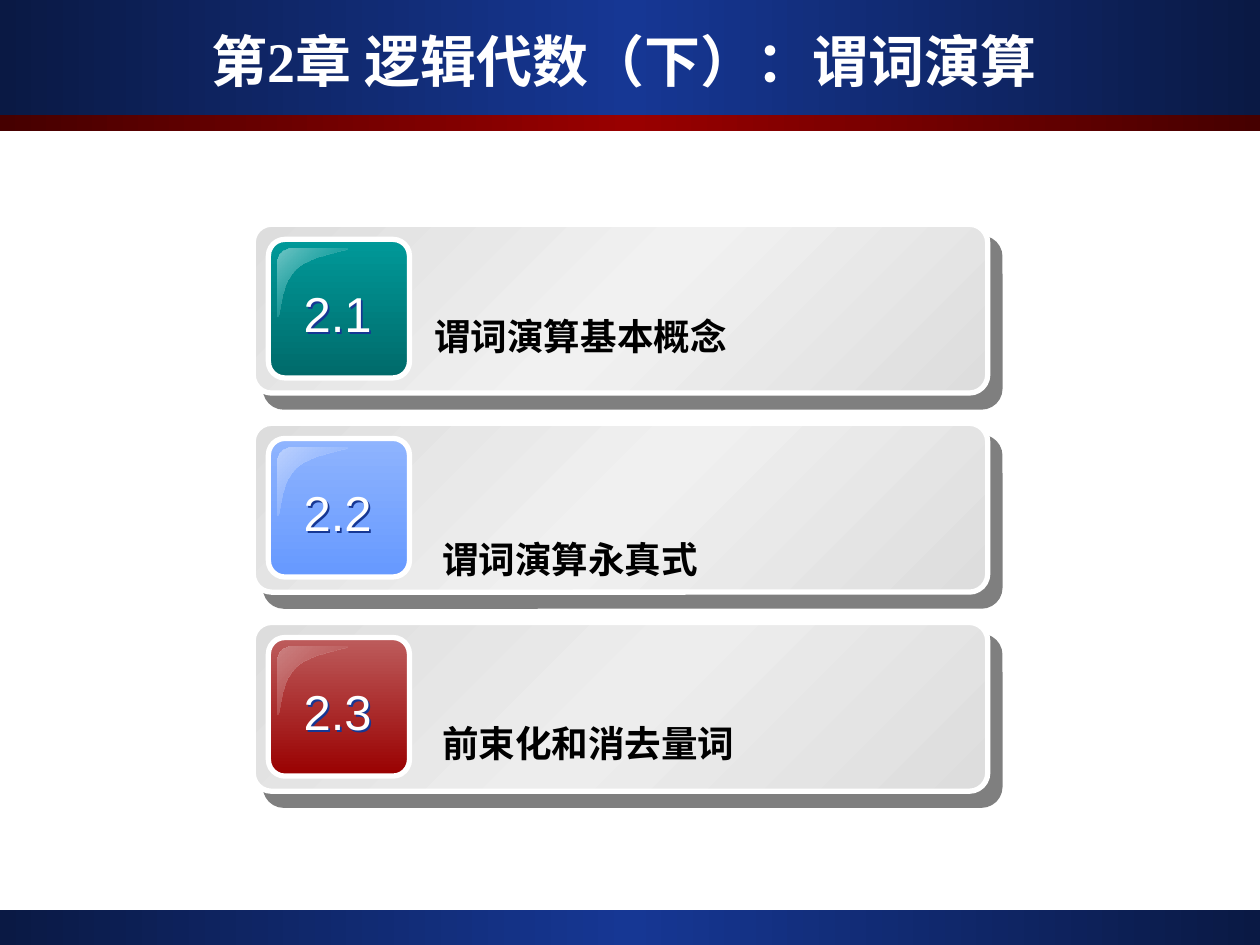
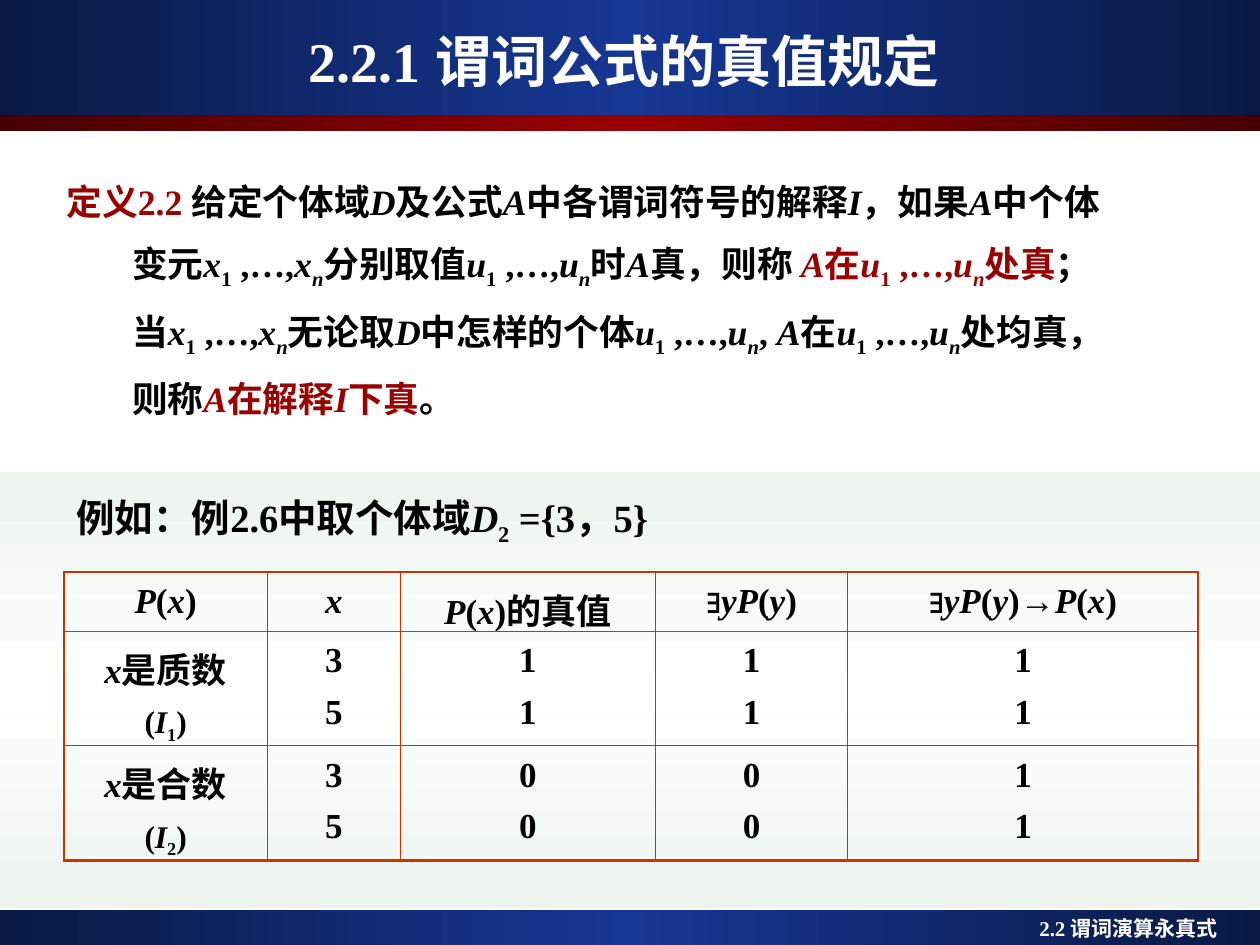
from dataclasses import dataclass
from itertools import groupby
from typing import NamedTuple

from lxml import etree
from pptx import Presentation
from pptx import util as u
from pptx.dml.color import RGBColor
from pptx.enum import shapes, text
from pptx.oxml import ns


@dataclass(frozen=True)
class Theme:
    serif: str = "Times New Roman"
    sans: str = "Arial"
    white: str = "FFFFFF"
    black: str = "000000"
    red: str = "990000"
    border: str = "CC3300"
    number_shadow: str = "163794"
    navy_band: tuple = ("0A1944", "163794", "0A1944")
    red_band: tuple = ("460000", "990000", "460000")
    example_band: tuple = ("ECF4ED", "FFFFFF", "ECF4ED")
    title_size: float = 32
    number_size: float = 28
    topic_size: float = 36
    definition_size: float = 20.4
    example_size: float = 22
    table_size: float = 20
    note_size: float = 18
    footer_size: float = 12


class Stop(NamedTuple):
    color: str
    alpha: int = 100


class Band(NamedTuple):
    top: float
    height: float
    colors: tuple
    angle: int = 180


class Topic(NamedTuple):
    number: str
    name: str
    badge: tuple
    gloss: str
    middle: str
    text_left: float
    text_top: float
    text_width: float
    spacing: float


THEME = Theme()
BANDS = [
    Band(7.22, 0.28, THEME.navy_band),
    Band(0, 0.91, THEME.navy_band),
    Band(0.91, 0.13, THEME.red_band),
]
TOPICS = [
    Topic("2.1", "谓词演算基本概念", ("009999", "006A6A"), "73C6C6", "F1F1F1",
          3.35, 0.34, 4.17, 0.9),
    Topic("2.2", "谓词演算永真式", ("8FB4FE", "6699FF"), "BDD2FE", "F0F0F0",
          3.41, 0.18, 4.29, 1.5),
    Topic("2.3", "前束化和消去量词", ("BD5C5C", "990000"), "CC8282", "EDEDED",
          3.41, 0.19, 4.29, 1.3),
]
CARD_LEFT, CARD_TOP, CARD_STEP = 2.01, 1.78, 1.58

# Markup: *italic*, [red], _ lowers the next character.
DEFINITION = [
    "[定义2.2] 给定个体域*D*及公式*A*中各谓词符号的解释*I*，如果*A*中个体",
    "变元*x*_1 ,…,*x_n*分别取值*u*_1 ,…,*u_n*时*A*真，则称 [*A*在*u*_1 ,…,*u_n*处真]；",
    "当*x*_1 ,…,*x_n*无论取*D*中怎样的个体*u*_1 ,…,*u_n*, *A*在*u*_1 ,…,*u_n*处均真，",
    "则称[*A*在解释*I*下真]。",
]
EXAMPLE = "例如：例2.6中取个体域*D*_2 ={3，5}"
TRUTH_ROWS = [
    [["*P*(*x*)"], ["*x*"], ["*P*(*x*)的真值"], ["∃*yP*(*y*)"], ["∃*yP*(*y*)→*P*(*x*)"]],
    [["*x*是质数", "(*I*_1)"], ["3", "5"], ["1", "1"], ["1", "1"], ["1", "1"]],
    [["*x*是合数", "(*I*_2)"], ["3", "5"], ["0", "0"], ["0", "0"], ["1", "1"]],
]
COLUMN_WIDTHS = [1.61, 1.06, 2.02, 1.53, 2.78]
ROW_HEIGHTS = [0.47, 0.91, 0.91]


def parse_markup(markup: str) -> list:
    """Return (text, (italic, red, lowered, is_quantifier)) pieces."""
    marked, italic, red, lowered = [], False, False, False
    for char in markup:
        if char == "*":
            italic = not italic
        elif char in "[]":
            red = char == "["
        elif char == "_":
            lowered = True
        else:
            marked.append((char, (italic, red, lowered, char == "∃")))
            lowered = False
    return [("".join(char for char, _ in run), style)
            for style, run in groupby(marked, key=lambda pair: pair[1])]


def write(frame, lines: list, *, size: float, font: str = THEME.serif,
          color: str = THEME.black, bold: bool = True, align=None, spacing: float = 1.0,
          before: float = 0, lowered: bool = False, wrap: bool = True) -> None:
    """Fill a text frame with one paragraph for each line of markup."""
    frame.word_wrap = wrap
    for index, line in enumerate(lines):
        para = frame.paragraphs[0] if index == 0 else frame.add_paragraph()
        para.alignment = align
        para.line_spacing = spacing
        if index:
            para.space_before = u.Pt(before)
        for piece, (italic, red, low, quantifier) in parse_markup(line):
            span = para.add_run()
            span.text = piece
            span.font.name = THEME.sans if quantifier else font
            span.font.size = u.Pt(size)
            span.font.bold = bold
            span.font.italic = italic
            span.font.color.rgb = RGBColor.from_string(THEME.red if red else color)
            if low or lowered:
                span._r.get_or_add_rPr().set("baseline", "-25000")


def add_text(parent, left: float, top: float, width: float, height: float,
             lines: list, **text_format):
    box = parent.add_textbox(u.Inches(left), u.Inches(top), u.Inches(width), u.Inches(height))
    write(box.text_frame, lines, **text_format)
    return box


def add_color(parent, stop: Stop) -> None:
    color = etree.SubElement(parent, ns.qn("a:srgbClr"), val=stop.color)
    if stop.alpha < 100:
        etree.SubElement(color, ns.qn("a:alpha"), val=str(stop.alpha * 1000))


def fill_gradient(shape, stops: list, angle: int) -> None:
    """Spread the stops evenly along a clockwise angle."""
    shape.fill.background()
    properties = shape.element.spPr
    gradient = etree.Element(ns.qn("a:gradFill"), rotWithShape="1")
    stop_list = etree.SubElement(gradient, ns.qn("a:gsLst"))
    for index, stop in enumerate(stops):
        position = 100000 * index // (len(stops) - 1)
        add_color(etree.SubElement(stop_list, ns.qn("a:gs"), pos=str(position)), stop)
    etree.SubElement(gradient, ns.qn("a:lin"), ang=str(angle * 60000), scaled="1")
    properties.replace(properties.find(ns.qn("a:noFill")), gradient)


def cast_shadow(shape, stop: Stop, distance: float, angle: int) -> None:
    shape.shadow.inherit = False
    effects = shape.element.spPr.find(ns.qn("a:effectLst"))
    shadow = etree.SubElement(effects, ns.qn("a:outerShdw"), blurRad="0",
                              dist=str(u.Pt(distance)), dir=str(angle * 60000),
                              algn="ctr", rotWithShape="0")
    add_color(shadow, stop)


def add_band(parent, band: Band):
    shape = parent.add_shape(shapes.MSO_SHAPE.RECTANGLE, 0, u.Inches(band.top),
                             u.Inches(10), u.Inches(band.height))
    shape.shadow.inherit = False
    shape.line.fill.background()
    fill_gradient(shape, [Stop(color) for color in band.colors], band.angle)
    return shape


def add_panel(parent, left: float, top: float, width: float, height: float,
              corner: float, colors: tuple, angle: int):
    """Add a rounded gradient rectangle with a white outline."""
    panel = parent.add_shape(shapes.MSO_SHAPE.ROUNDED_RECTANGLE, u.Inches(left),
                             u.Inches(top), u.Inches(width), u.Inches(height))
    panel.adjustments[0] = corner
    panel.shadow.inherit = False
    panel.line.color.rgb = RGBColor.from_string(THEME.white)
    panel.line.width = u.Pt(3)
    fill_gradient(panel, [Stop(color) for color in colors], angle)
    return panel


def curve(*controls: tuple, steps: int = 10) -> list:
    """Return points along a cubic curve, its start left out."""
    points = []
    for step in range(1, steps + 1):
        t = step / steps
        weights = ((1 - t) ** 3, 3 * t * (1 - t) ** 2, 3 * t * t * (1 - t), t ** 3)
        points.append(tuple(sum(w * p[axis] for w, p in zip(weights, controls))
                            for axis in (0, 1)))
    return points


def add_gloss(parent, left: float, top: float, color: str, light: str) -> None:
    outline = [
        *curve((0.11, 0), (0.05, 0), (0, 0.05), (0, 0.11)),
        (0, 0.54),
        *curve((0, 0.54), (0.03, 0.55), (0.01, 0.29), (0.15, 0.16)),
        *curve((0.15, 0.16), (0.3, 0.04), (0.56, 0.03), (0.56, 0)),
    ]
    builder = parent.build_freeform(u.Inches(left + 0.11), u.Inches(top))
    builder.add_line_segments([(u.Inches(left + x), u.Inches(top + y)) for x, y in outline])
    gloss = builder.convert_to_shape()
    gloss.shadow.inherit = False
    gloss.line.fill.background()
    fill_gradient(gloss, [Stop(color, 0), Stop(light)], 225)


def add_topic_card(page, topic: Topic, top: float) -> None:
    card = page.shapes.add_group_shape().shapes
    panel = add_panel(card, CARD_LEFT, top, 5.83, 1.34, 0.109,
                      ("DDDDDD", topic.middle, "DDDDDD"), 225)
    cast_shadow(panel, Stop(THEME.black, 50), 10.6, 49)
    add_panel(card, CARD_LEFT + 0.12, top + 0.12, 1.12, 1.1, 0.119, topic.badge, 90)
    add_gloss(card, CARD_LEFT + 0.19, top + 0.19, topic.badge[0], topic.gloss)
    number = add_text(card, CARD_LEFT + 0.3, top + 0.42, 0.74, 0.57, [topic.number],
                      size=THEME.number_size, font=THEME.sans, color=THEME.white,
                      bold=False, align=text.PP_ALIGN.CENTER, wrap=False)
    cast_shadow(number, Stop(THEME.number_shadow), 1.4, 45)
    add_text(card, topic.text_left, top + topic.text_top, topic.text_width, 1,
             [topic.name], size=THEME.topic_size, font=THEME.sans,
             spacing=topic.spacing, lowered=True)


def set_borders(cell, widths: dict) -> None:
    properties = cell._tc.get_or_add_tcPr()
    for index, (side, width) in enumerate(widths.items()):
        line = etree.Element(ns.qn(f"a:ln{side}"), w=str(u.Pt(width)))
        add_color(etree.SubElement(line, ns.qn("a:solidFill")), Stop(THEME.border))
        properties.insert(index, line)


def add_truth_table(page) -> None:
    rows, columns = len(ROW_HEIGHTS), len(COLUMN_WIDTHS)
    table = page.shapes.add_table(rows, columns, u.Inches(0.51), u.Inches(4.54),
                                  u.Inches(sum(COLUMN_WIDTHS)),
                                  u.Inches(sum(ROW_HEIGHTS))).table
    table.first_row = table.horz_banding = False
    for column, width in zip(table.columns, COLUMN_WIDTHS):
        column.width = u.Inches(width)
    for r, height in enumerate(ROW_HEIGHTS):
        table.rows[r].height = u.Inches(height)
        for c, lines in enumerate(TRUTH_ROWS[r]):
            cell = table.cell(r, c)
            cell.fill.background()
            write(cell.text_frame, lines, size=THEME.table_size, spacing=1.1, before=5,
                  align=text.PP_ALIGN.CENTER)
            outer = {"L": c == 0, "R": c == columns - 1, "T": r == 0, "B": r == rows - 1}
            set_borders(cell, {side: 1.47 if edge else 0.75 for side, edge in outer.items()})
            if r and c == 0:
                note = cell.text_frame.paragraphs[1]
                note.space_before = u.Pt(4.5)
                for span in note.runs:
                    span.font.size = u.Pt(THEME.note_size)


def add_page(deck, title: str):
    page = deck.slides.add_slide(deck.slide_layouts[5])
    box = page.shapes.title
    box.left, box.top = u.Inches(0.33), u.Inches(0.17)
    box.width, box.height = u.Inches(9.25), u.Inches(0.62)
    box.text_frame.auto_size = text.MSO_AUTO_SIZE.NONE
    box.text_frame.vertical_anchor = text.MSO_ANCHOR.MIDDLE
    write(box.text_frame, [title], size=THEME.title_size, color=THEME.white,
          align=text.PP_ALIGN.CENTER)
    return page


def move_bands_to_layout(page) -> None:
    """Draw the shared bands and hand them to the layout, behind its title."""
    layout = page.slide_layout
    tree = layout.shapes.element
    for holder in list(layout.placeholders):
        if holder.placeholder_format.type != shapes.PP_PLACEHOLDER.TITLE:
            tree.remove(holder.element)
    bands = [add_band(page.shapes, band) for band in BANDS]
    for index, band in enumerate(bands, start=2):
        tree.insert(index, band.element)


def build_contents(deck) -> None:
    page = add_page(deck, "第2章 逻辑代数（下）：谓词演算")
    move_bands_to_layout(page)
    for index, topic in enumerate(TOPICS):
        add_topic_card(page, topic, CARD_TOP + index * CARD_STEP)


def build_truth_values(deck) -> None:
    page = add_page(deck, "2.2.1 谓词公式的真值规定")
    add_band(page.shapes, Band(3.75, 3.46, THEME.example_band, 90))
    add_text(page.shapes, 8.15, 7.22, 1.85, 0.3, ["2.2 谓词演算永真式"],
             size=THEME.footer_size, color=THEME.white)
    definition = add_text(page.shapes, 0.43, 1.31, 9.37, 2.52, DEFINITION,
                          size=THEME.definition_size, spacing=1.2, before=5.5)
    for para in definition.text_frame.paragraphs[1:]:
        para._p.get_or_add_pPr().set("marL", str(u.Inches(0.52)))
    add_truth_table(page)
    add_text(page.shapes, 0.51, 3.75, 5.9, 0.71, [EXAMPLE],
             size=THEME.example_size, spacing=1.3)


def main() -> None:
    deck = Presentation()
    deck.slide_width, deck.slide_height = u.Inches(10), u.Inches(7.5)
    build_contents(deck)
    build_truth_values(deck)
    deck.save("out.pptx")


if __name__ == "__main__":
    main()
